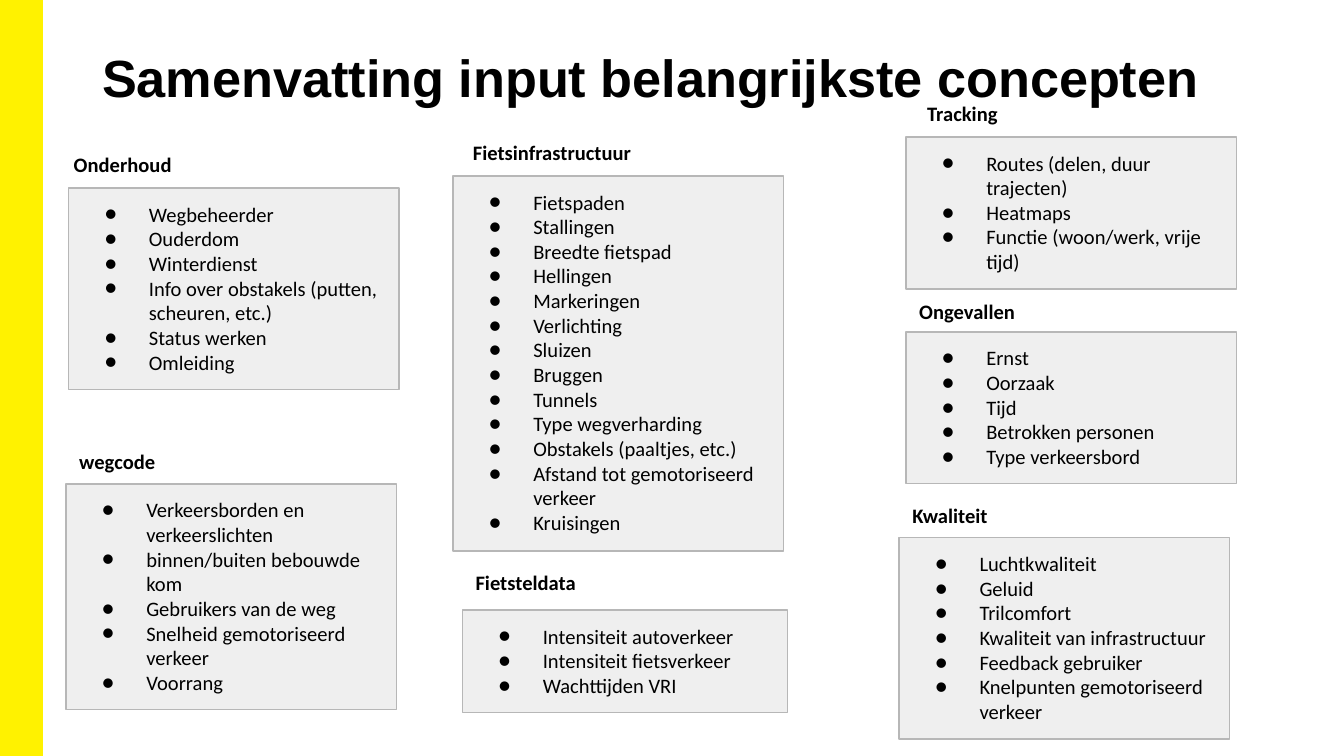
from lxml import etree
from pptx import Presentation
from pptx.dml.color import RGBColor
from pptx.enum.shapes import MSO_SHAPE
from pptx.enum.text import MSO_ANCHOR, MSO_AUTO_SIZE, PP_ALIGN
from pptx.oxml.ns import qn
from pptx.util import Inches, Pt

RECTANGLE = MSO_SHAPE.RECTANGLE
TOP = MSO_ANCHOR.TOP
GROW, FIXED = MSO_AUTO_SIZE.SHAPE_TO_FIT_TEXT, MSO_AUTO_SIZE.NONE
LEFT = PP_ALIGN.LEFT

YELLOW, BLACK, PALE_GREY, MID_GREY = "FFF200", "000000", "EFEFEF", "B7B7B7"
BODY_FONT, TITLE_FONT = "Calibri", "Arial"
SLIDE_WIDTH = 10
SLIDE_HEIGHT = SLIDE_WIDTH * 9 / 16
HEADING_SIZE = (2.05, 0.39)
PANEL_WIDTH = 2.46

TITLE = "Samenvatting input belangrijkste concepten"

# heading, heading position, panel (left, top, width, height), concepts
THEMES = [
    ("Onderhoud", (0.45, 1.04), (0.51, 1.4, PANEL_WIDTH, 1.5),
     ["Wegbeheerder", "Ouderdom", "Winterdienst",
      "Info over obstakels (putten, scheuren, etc.)",
      "Status werken", "Omleiding"]),
    ("wegcode", (0.49, 3.25), (0.49, 3.6, PANEL_WIDTH, 1.68),
     ["Verkeersborden en verkeerslichten", "binnen/buiten bebouwde kom",
      "Gebruikers van de weg", "Snelheid gemotoriseerd verkeer", "Voorrang"]),
    ("Fietsinfrastructuur", (3.42, 0.95), (3.37, 1.31, PANEL_WIDTH, 2.79),
     ["Fietspaden", "Stallingen", "Breedte fietspad", "Hellingen",
      "Markeringen", "Verlichting", "Sluizen", "Bruggen", "Tunnels",
      "Type wegverharding", "Obstakels (paaltjes, etc.)",
      "Afstand tot gemotoriseerd verkeer", "Kruisingen"]),
    ("Fietsteldata", (3.44, 4.15), (3.44, 4.54, 2.42, 0.76),
     ["Intensiteit autoverkeer", "Intensiteit fietsverkeer",
      "Wachttijden VRI"]),
    ("Tracking", (6.8, 0.66), (6.74, 1.02, PANEL_WIDTH, 1.13),
     ["Routes (delen, duur trajecten)", "Heatmaps",
      "Functie (woon/werk, vrije tijd)"]),
    ("Ongevallen", (6.74, 2.13), (6.74, 2.47, PANEL_WIDTH, 1.13),
     ["Ernst", "Oorzaak", "Tijd", "Betrokken personen",
      "Type verkeersbord"]),
    ("Kwaliteit", (6.69, 3.65), (6.69, 4, PANEL_WIDTH, 1.5),
     ["Luchtkwaliteit", "Geluid", "Trilcomfort",
      "Kwaliteit van infrastructuur", "Feedback gebruiker",
      "Knelpunten gemotoriseerd verkeer"]),
]


def color(hex_code):
    return RGBColor.from_string(hex_code)


def add_bullet(paragraph):
    properties = paragraph._p.get_or_add_pPr()
    properties.set("marL", str(Inches(0.5)))
    properties.set("indent", str(Inches(-0.33)))
    bullet_color = etree.SubElement(properties, qn("a:buClr"))
    etree.SubElement(bullet_color, qn("a:srgbClr"), val=BLACK)
    etree.SubElement(properties, qn("a:buFont"), typeface=BODY_FONT)
    etree.SubElement(properties, qn("a:buChar"), char="●")


def write(shape, lines, size=11, font=BODY_FONT, bold=False, bullets=False,
          insets=(0.1, 0.1), auto_size=GROW):
    frame = shape.text_frame
    frame.word_wrap = True
    frame.auto_size = auto_size
    frame.vertical_anchor = TOP
    frame.margin_left = frame.margin_right = Inches(insets[0])
    frame.margin_top = frame.margin_bottom = Inches(insets[1])
    for index, line in enumerate(lines):
        paragraph = frame.add_paragraph() if index else frame.paragraphs[0]
        paragraph.alignment = LEFT
        if bullets:
            add_bullet(paragraph)
        run = paragraph.add_run()
        run.text = line
        run.font.size = Pt(size)
        run.font.name = font
        run.font.bold = bold
        run.font.color.rgb = color(BLACK)


def add_rectangle(slide, box, fill, line, line_width):
    rectangle = slide.shapes.add_shape(RECTANGLE, *map(Inches, box))
    rectangle.shadow.inherit = False
    rectangle.fill.solid()
    rectangle.fill.fore_color.rgb = color(fill)
    rectangle.line.color.rgb = color(line)
    rectangle.line.width = Pt(line_width)
    return rectangle


def add_text(slide, box, text, **text_format):
    write(slide.shapes.add_textbox(*map(Inches, box)), [text], **text_format)


def main():
    presentation = Presentation()
    presentation.slide_width = Inches(SLIDE_WIDTH)
    presentation.slide_height = Inches(SLIDE_HEIGHT)
    slide = presentation.slides.add_slide(presentation.slide_layouts[6])

    add_rectangle(slide, (0, 0, 0.31, SLIDE_HEIGHT), YELLOW, YELLOW, 1)
    add_text(slide, (0.69, 0.3, 8.43, 0.81), TITLE, size=28, font=TITLE_FONT,
             bold=True, insets=(0.07, 0.04), auto_size=FIXED)
    for heading, position, panel_box, concepts in THEMES:
        add_text(slide, position + HEADING_SIZE, heading, bold=True)
        panel = add_rectangle(slide, panel_box, PALE_GREY, MID_GREY, 0.75)
        write(panel, concepts, bullets=True)

    presentation.save("out.pptx")


if __name__ == "__main__":
    main()
